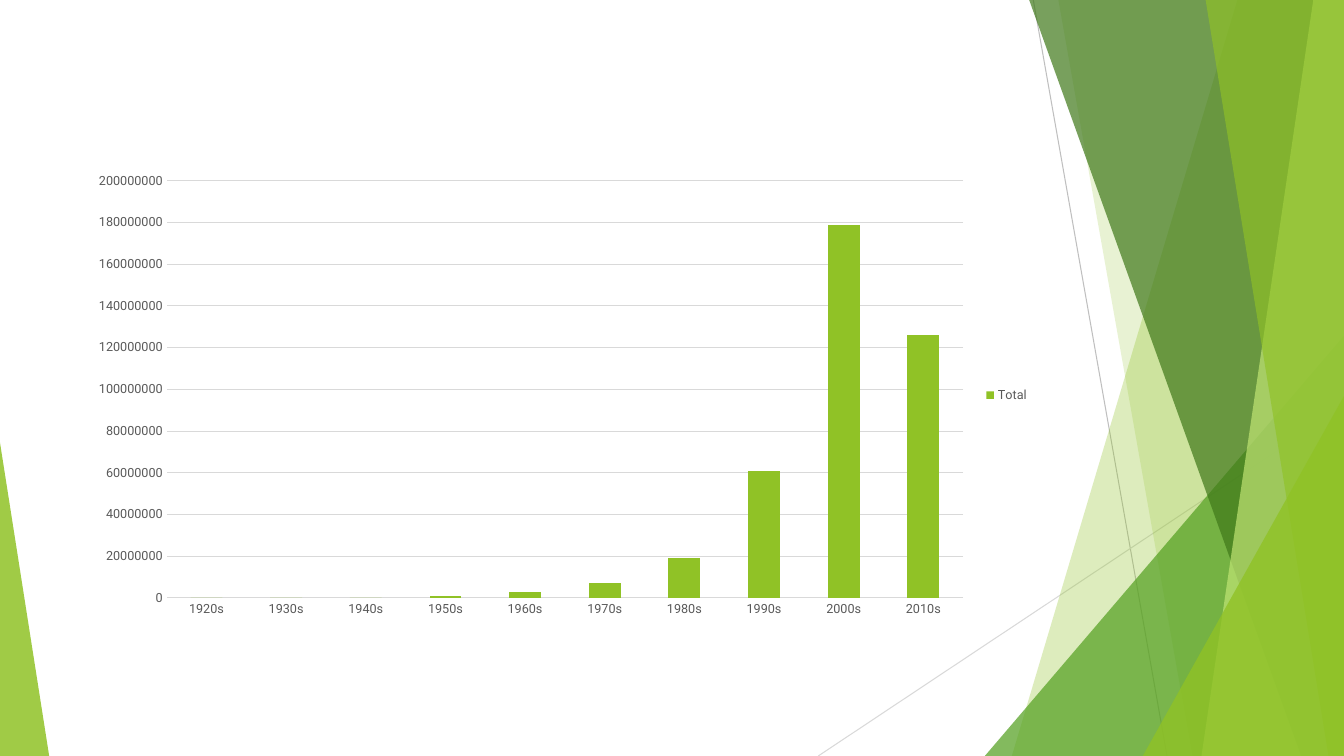
from dataclasses import dataclass

from lxml.etree import SubElement
from pptx import Presentation
from pptx.chart.data import CategoryChartData
from pptx.dml.color import RGBColor
from pptx.enum.chart import XL_CHART_TYPE, XL_LEGEND_POSITION, XL_TICK_MARK
from pptx.enum.shapes import MSO_CONNECTOR, MSO_SHAPE
from pptx.oxml.ns import qn
from pptx.util import Cm, Pt


@dataclass(frozen=True)
class Theme:
    font: str = "Roboto"
    base_size: int = 10
    label_size: int = 9
    hairline: float = 0.75
    text: str = "000000"
    label: str = "595959"
    lime: str = "90C226"
    green: str = "54A021"
    forest: str = "3F7819"
    pale: str = "C0E474"
    grey: str = "BFBFBF"
    light_grey: str = "D9D9D9"


THEME = Theme()
WIDTH, HEIGHT = 33.87, 19.05
BAND_TOP = -0.02

DECADES = [f"{year}s" for year in range(1920, 2020, 10)]
TOTALS = [millions * 1_000_000 for millions in (0, 0, 0, 1, 3, 7, 19, 61, 179, 126)]


def rgb(color):
    return RGBColor.from_string(color)


def style_line(line, color):
    line.color.rgb = rgb(color)
    line.width = Pt(THEME.hairline)


def style_font(font, size, color):
    font.name = THEME.font
    font.size = Pt(size)
    font.color.rgb = rgb(color)


def paint(sp, color, opacity):
    """Give a shape a see-through fill (opacity in percent) and no outline."""
    sp.shadow.inherit = False
    sp.line.fill.background()
    sp.fill.solid()
    sp.fill.fore_color.rgb = rgb(color)
    clr = next(sp.fill._xPr.iter(qn("a:srgbClr")))
    SubElement(clr, qn("a:alpha"), val=str(opacity * 1000))


def add_line(slide, x1, y1, x2, y2, color):
    line = slide.shapes.add_connector(
        MSO_CONNECTOR.STRAIGHT, Cm(x1), Cm(y1), Cm(x2), Cm(y2))
    style_line(line.line, color)
    SubElement(line._element.spPr, qn("a:effectLst"))


def add_band(slide, top_x, bottom_x, color, opacity):
    """Fill from a slanted left edge to the right side of the slide."""
    builder = slide.shapes.build_freeform(Cm(top_x), Cm(BAND_TOP))
    builder.add_line_segments([
        (Cm(WIDTH), Cm(BAND_TOP)), (Cm(WIDTH), Cm(HEIGHT)), (Cm(bottom_x), Cm(HEIGHT))])
    paint(builder.convert_to_shape(), color, opacity)


def add_corner(slide, left, top, width, apex, color, opacity):
    """Right triangle standing on the bottom edge; apex 0 is left, 1 is right."""
    sp = slide.shapes.add_shape(
        MSO_SHAPE.ISOSCELES_TRIANGLE, Cm(left), Cm(top), Cm(width), Cm(HEIGHT - top))
    sp.adjustments[0] = apex
    paint(sp, color, opacity)


def add_backdrop(slide):
    add_line(slide, 26.04, 0, 29.41, HEIGHT, THEME.grey)
    add_line(slide, WIDTH, 10.24, 20.62, HEIGHT, THEME.light_grey)
    add_band(slide, 31.19, 25.5, THEME.lime, 30)
    add_band(slide, 26.67, 30.05, THEME.lime, 20)
    add_corner(slide, 24.82, 8.46, WIDTH - 24.82, 1, THEME.green, 72)
    add_band(slide, 25.93, 32.79, THEME.forest, 70)
    add_band(slide, 33.1, 30.28, THEME.pale, 70)
    add_band(slide, 30.38, 33.48, THEME.lime, 65)
    add_corner(slide, 28.8, 9.98, WIDTH - 28.8, 1, THEME.lime, 80)
    add_corner(slide, 0, 11.15, 1.24, 0, THEME.lime, 85)


def style_axis(axis):
    axis.major_tick_mark = XL_TICK_MARK.NONE
    axis.minor_tick_mark = XL_TICK_MARK.NONE
    axis.format.line.fill.background()
    style_font(axis.tick_labels.font, THEME.label_size, THEME.label)


def add_totals_chart(slide):
    data = CategoryChartData()
    data.categories = DECADES
    data.add_series("Total", TOTALS)
    chart = slide.shapes.add_chart(
        XL_CHART_TYPE.COLUMN_CLUSTERED, Cm(2.01), Cm(4.14), Cm(24.18), Cm(11.63), data).chart
    style_font(chart.font, THEME.base_size, THEME.text)
    chart.has_title = False

    chart.has_legend = True
    chart.legend.position = XL_LEGEND_POSITION.RIGHT
    chart.legend.include_in_layout = False
    style_font(chart.legend.font, THEME.label_size, THEME.label)

    style_axis(chart.category_axis)
    values = chart.value_axis
    style_axis(values)
    values.minimum_scale = 0
    values.maximum_scale = 200_000_000
    values.major_unit = 20_000_000
    values.has_major_gridlines = True
    style_line(values.major_gridlines.format.line, THEME.light_grey)

    plot = chart.plots[0]
    plot.gap_width = 150
    plot.vary_by_categories = False
    fill = plot.series[0].format.fill
    fill.solid()
    fill.fore_color.rgb = rgb(THEME.lime)


def main():
    prs = Presentation()
    prs.slide_width, prs.slide_height = Cm(WIDTH), Cm(HEIGHT)
    slide = prs.slides.add_slide(prs.slide_layouts[6])
    add_backdrop(slide)
    add_totals_chart(slide)
    prs.save("out.pptx")


if __name__ == "__main__":
    main()
